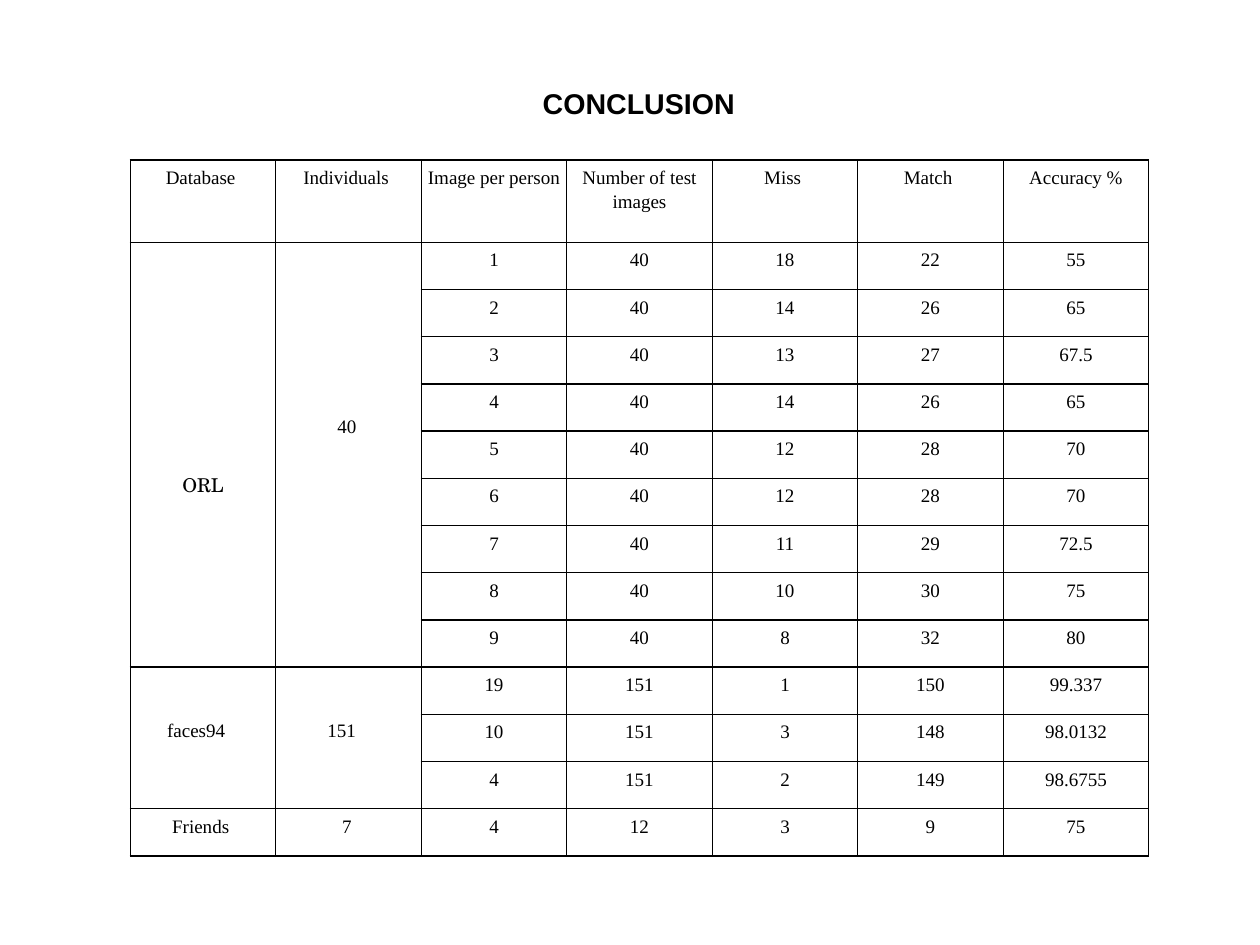
from lxml.etree import SubElement
from pptx import Presentation
from pptx.dml.color import RGBColor
from pptx.enum.text import PP_ALIGN
from pptx.oxml.ns import qn
from pptx.util import Cm, Inches, Pt

TITLE = "CONCLUSION"
HEADERS = ["Database ", "Individuals ", "Image per person", "Number of test images",
           "Miss ", "Match ", "Accuracy %"]
# Each database: name, individuals, then rows of
# (images per person, test images, miss, match, accuracy)
DATABASES = [
    ("ORL", "40", [
        (1, 40, 18, 22, 55),
        (2, 40, 14, 26, 65),
        (3, 40, 13, 27, 67.5),
        (4, 40, 14, 26, 65),
        (5, 40, 12, 28, 70),
        (6, 40, 12, 28, 70),
        (7, 40, 11, 29, 72.5),
        (8, 40, 10, 30, 75),
        (9, 40, 8, 32, 80),
    ]),
    ("faces94", "151", [
        (19, 151, 1, 150, 99.337),
        (10, 151, 3, 148, 98.0132),
        (4, 151, 2, 149, 98.6755),
    ]),
    ("Friends ", "7", [(4, 12, 3, 9, 75)]),
]
COLORS = {"ink": "000000"}
TITLE_FONT, BODY_FONT, ORL_FONT = "Arial", "Times New Roman", "TeX Gyre Schola"
INSET = 0.04
LINE_SPACING = 1.15
# Top and right insets of the cells whose text is set off from the usual place
INSETS = {
    "ORL": [(2.0, INSET), (1.5, 0.07)],
    "faces94": [(0.44, 0.16), (0.44, 0.16)],
    "Friends ": [(INSET, INSET), (INSET, 0.07)],
}
TABLE_LEFT, TABLE_TOP, TABLE_WIDTH, TABLE_HEIGHT = 1.14, 1.4, 8.91, 6.09
HEADER_HEIGHT = 0.72


def format_run(run, size, font, bold=False):
    run.font.size = Pt(size)
    run.font.name = font
    run.font.bold = bold
    run.font.color.rgb = RGBColor.from_string(COLORS["ink"])


def outline_cell(cell):
    """Give the cell a thin line on all four sides and no fill."""
    properties = cell._tc.get_or_add_tcPr()
    for side in ("a:lnL", "a:lnR", "a:lnT", "a:lnB"):
        line = SubElement(properties, qn(side), w=str(Pt(1)))
        fill = SubElement(line, qn("a:solidFill"))
        SubElement(fill, qn("a:srgbClr"), val=COLORS["ink"])
    cell.fill.background()


def write_cell(cell, text, insets=(INSET, INSET), font=BODY_FONT, spacing=LINE_SPACING):
    cell.margin_top, cell.margin_right = map(Inches, insets)
    paragraph = cell.text_frame.paragraphs[0]
    paragraph.text = str(text)
    paragraph.alignment = PP_ALIGN.CENTER
    paragraph.line_spacing = spacing
    format_run(paragraph.runs[0], 12, font)


def add_title(slide):
    box = slide.shapes.add_textbox(Inches(4.65), Inches(0.7), Inches(6.09), Inches(0.4))
    box.text_frame.word_wrap = True
    paragraph = box.text_frame.paragraphs[0]
    paragraph.text = TITLE
    format_run(paragraph.runs[0], 18, TITLE_FONT, bold=True)


def add_results(slide):
    result_count = sum(len(results) for _, _, results in DATABASES)
    row_height = (TABLE_HEIGHT - HEADER_HEIGHT) / result_count
    table = slide.shapes.add_table(
        result_count + 1, len(HEADERS), Inches(TABLE_LEFT), Inches(TABLE_TOP),
        Inches(TABLE_WIDTH), Inches(TABLE_HEIGHT)).table
    table.first_row = table.horz_banding = False
    for column in table.columns:
        column.width = Inches(TABLE_WIDTH / len(HEADERS))
    for index, row in enumerate(table.rows):
        row.height = Inches(row_height if index else HEADER_HEIGHT)
    for cell in table.iter_cells():
        cell.margin_left = cell.margin_right = Inches(INSET)
        cell.margin_top = cell.margin_bottom = Inches(INSET)
        outline_cell(cell)

    for column, header in enumerate(HEADERS):
        write_cell(table.cell(0, column), header)
    top = 1
    for name, individuals, results in DATABASES:
        bottom = top + len(results) - 1
        for column, text in enumerate((name, individuals)):
            cell = table.cell(top, column)
            if bottom > top:
                cell.merge(table.cell(bottom, column))
            if text == "ORL":
                write_cell(cell, text, INSETS[name][column], ORL_FONT, 1.0)
            else:
                write_cell(cell, text, INSETS[name][column])
        for row, values in enumerate(results, top):
            for column, value in enumerate(values, 2):
                write_cell(table.cell(row, column), value)
        top = bottom + 1


def main():
    presentation = Presentation()
    presentation.slide_width, presentation.slide_height = Cm(28), Cm(21)
    slide = presentation.slides.add_slide(presentation.slide_layouts[6])
    add_title(slide)
    add_results(slide)
    presentation.save("out.pptx")


if __name__ == "__main__":
    main()
